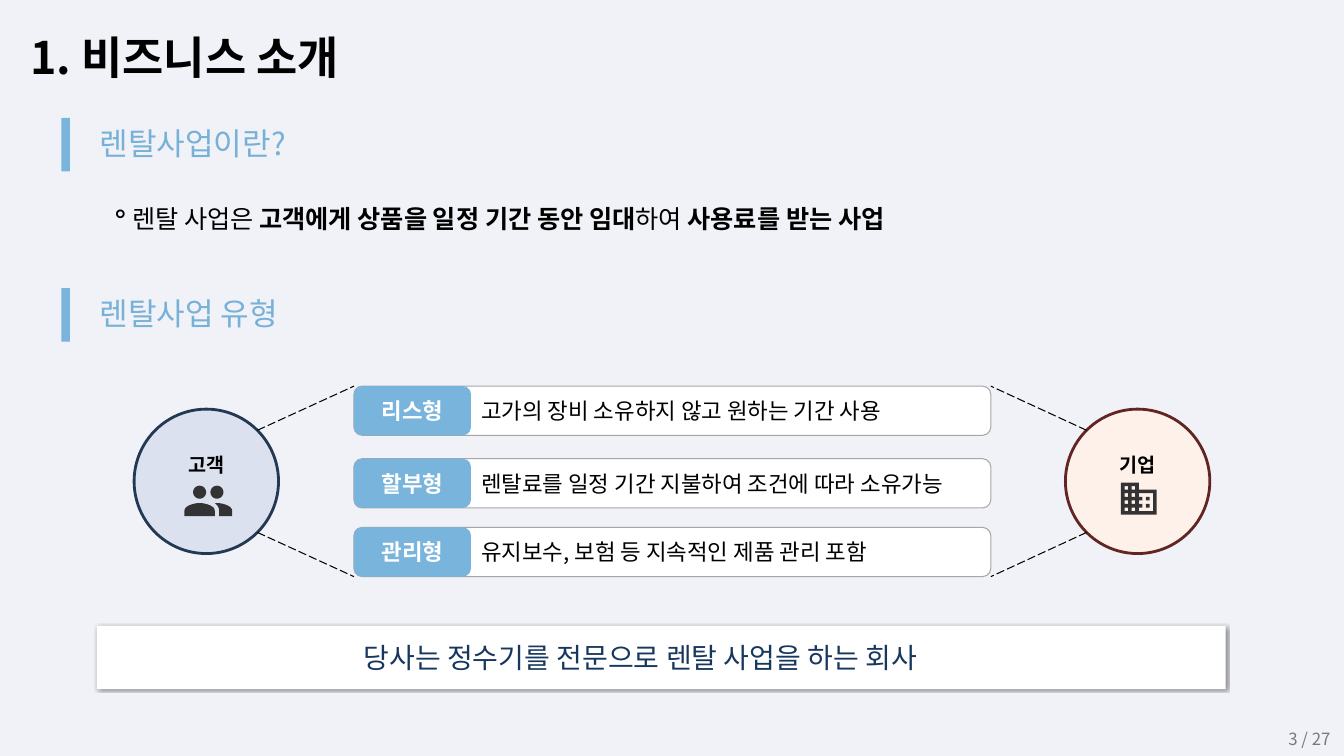
from math import cos, pi, sin, sqrt

from lxml.etree import SubElement
from pptx import Presentation
from pptx.dml.color import RGBColor
from pptx.enum.dml import MSO_LINE
from pptx.enum.shapes import MSO_CONNECTOR, MSO_SHAPE as SHAPE
from pptx.enum.text import MSO_ANCHOR as ANCHOR, MSO_AUTO_SIZE, PP_ALIGN as ALIGN
from pptx.oxml.ns import qn
from pptx.util import Cm, Pt

FONT = "Noto Sans CJK KR"
COLORS = {
    "background": "F0F2F7", "white": "FFFFFF", "black": "000000", "page": "797979",
    "accent": "78B4DC", "heading": "77B1D7", "message": "17375E", "icon": "333333",
    "row line": "A6A6A6", "customer": "DBE1EE", "customer line": "233953",
    "company": "FDF1E9", "company line": "632523",
}
ICON_GRID = 100  # freeform steps per icon unit


def rgb(name):
    return RGBColor.from_string(COLORS[name])


def write(holder, runs, size, color, align=ALIGN.LEFT, anchor=ANCHOR.TOP,
          margins=(0, 0, 0, 0), spacing=None):
    """Write (text, bold) runs as one paragraph; margins are left, top, right, bottom."""
    frame = holder.text_frame
    left, top, right, bottom = (Cm(margin) for margin in margins)
    layout = {"word_wrap": True, "auto_size": MSO_AUTO_SIZE.NONE, "vertical_anchor": anchor,
              "margin_left": left, "margin_top": top,
              "margin_right": right, "margin_bottom": bottom}
    for name, value in layout.items():
        setattr(frame, name, value)
    paragraph = frame.paragraphs[0]
    paragraph.alignment = align
    paragraph.line_spacing = spacing
    for text, bold in runs:
        run = paragraph.add_run()
        run.text = text
        for name, value in {"size": Pt(size), "bold": bold, "name": FONT}.items():
            setattr(run.font, name, value)
        run.font.color.rgb = rgb(color)
        SubElement(run.font._element, qn("a:ea"), typeface=FONT)
    return paragraph


def text_box(slide, box, runs, size, color, **style):
    holder = slide.shapes.add_textbox(*(Cm(length) for length in box))
    return write(holder, runs, size, color, **style)


def panel(slide, kind, box, fill, line=None, weight=0.75):
    shape = slide.shapes.add_shape(kind, *(Cm(length) for length in box))
    shape.shadow.inherit = False
    shape.fill.solid()
    shape.fill.fore_color.rgb = rgb(fill)
    if line:
        shape.line.color.rgb = rgb(line)
        shape.line.width = Pt(weight)
    else:
        shape.line.fill.background()
    return shape


# Icons, drawn on a unit grid
def square(x, y, side=2):
    return [(x, y), (x + side, y), (x + side, y + side), (x, y + side)]


def circle(x, y, radius, steps=32):
    turns = [2 * pi * step / steps for step in range(steps)]
    return [(x + radius * cos(turn), y + radius * sin(turn)) for turn in turns]


def curve(*points, steps=10):
    weights = (1, 3, 3, 1)
    return [tuple(sum(weight * (1 - t) ** (3 - power) * t ** power * point[axis]
                      for power, (weight, point) in enumerate(zip(weights, points)))
                  for axis in (0, 1))
            for t in (step / steps for step in range(steps + 1))]


def people_outlines():
    front = (curve((14, 11.5), (14, 9.17), (9.33, 8), (7, 8))
             + curve((7, 8), (4.67, 8), (0, 9.17), (0, 11.5)) + [(0, 14), (14, 14)])
    back = (curve((22, 11.5), (22, 9.17), (17.33, 8), (15, 8))
            + curve((14.03, 8.05), (15.19, 8.89), (16, 10.02), (16, 11.5))
            + [(16, 14), (22, 14)])
    return [circle(7, 3, 3), circle(15, 3, 3), front, back]


def building_outlines():
    walls = [(10, 4), (10, 0), (0, 0), (0, 18), (20, 18), (20, 4)]
    wing = [(18, 16), (10, 16), (10, 14), (12, 14), (12, 12), (10, 12),
            (10, 10), (12, 10), (12, 8), (10, 8), (10, 6), (18, 6)]
    windows = [square(x, y) for x in (2, 6) for y in (2, 6, 10, 14)]
    return [walls, wing, *windows, square(14, 8), square(14, 12)]


def icon(slide, left, top, unit, outlines):
    builder = None
    for outline in outlines:
        points = [(x * ICON_GRID, y * ICON_GRID) for x, y in outline]
        if builder is None:
            builder = slide.shapes.build_freeform(*points[0], scale=Cm(unit) / ICON_GRID)
        else:
            builder.move_to(*points[0])
        builder.add_line_segments(points[1:], close=True)
    drawing = builder.convert_to_shape(Cm(left), Cm(top))
    drawing.shadow.inherit = False
    drawing.fill.solid()
    drawing.fill.fore_color.rgb = rgb("icon")
    drawing.line.fill.background()


# Regions
def title(slide, box, text):
    heading = slide.shapes.title
    heading.left, heading.top, heading.width, heading.height = (Cm(length) for length in box)
    write(heading, [(text, True)], 32, "black", margins=(0.25, 0.13, 0.25, 0.13), spacing=1.25)


def section(slide, left, top, text):
    panel(slide, SHAPE.RECTANGLE, (left, top, 0.21, 1.35), "accent")
    text_box(slide, (left + 0.96, top + 0.36, 5.74, 0.79), [(text, False)], 22.2, "heading",
             spacing=Pt(20.8))


def definition(slide, box, runs):
    paragraph = text_box(slide, box, runs, 18, "black", spacing=Pt(33.3))
    properties = paragraph._p.get_or_add_pPr()
    properties.set("marL", str(Cm(1.68)))
    properties.set("indent", str(-Cm(0.56)))
    SubElement(properties, qn("a:buChar"), char="⚬")


def party(slide, left, top, size, name, kind):
    panel(slide, SHAPE.OVAL, (left, top, size, size), kind, f"{kind} line", 2)
    text_box(slide, (left, top + 0.97, size, 0.71), [(name, True)], 14, "black",
             align=ALIGN.CENTER, spacing=Pt(20.8))


def rental_type(slide, box, name, description):
    left, top, width, height = box
    label_width = 2.95
    row = panel(slide, SHAPE.ROUNDED_RECTANGLE, box, "white", "row line")
    write(row, [(description, False)], 16, "black", anchor=ANCHOR.MIDDLE,
          margins=(label_width + 0.2, 0, 0, 0))
    label = panel(slide, SHAPE.ROUNDED_RECTANGLE, (left, top, label_width, height), "accent")
    write(label, [(name, True)], 16, "white", align=ALIGN.CENTER, anchor=ANCHOR.MIDDLE)


def dashed_line(slide, *ends):
    line = slide.shapes.add_connector(MSO_CONNECTOR.STRAIGHT, *(Cm(end) for end in ends))
    line.line.color.rgb = rgb("black")
    line.line.width = Pt(0.75)
    line.line.dash_style = MSO_LINE.LONG_DASH
    SubElement(line._element.spPr, qn("a:effectLst"))


def rental_diagram(slide, left, top, width, height):
    # Customer and company at the two ends
    size = 3.64
    circle_top = top + (height - size) / 2
    company_left = left + width - size
    party(slide, left, circle_top, size, "고객", "customer")
    icon(slide, left + 1.27, circle_top + 1.93, 1.2 / 22, people_outlines())
    party(slide, company_left, circle_top, size, "기업", "company")
    icon(slide, company_left + 1.4, circle_top + 1.85, 0.9 / 20, building_outlines())
    # Rental types between them
    row_left, row_width, row_height = left + 5.54, 16.05, 1.24
    rows = [(0, "리스형", "고가의 장비 소유하지 않고 원하는 기간 사용"),
            (1.83, "할부형", "렌탈료를 일정 기간 지불하여 조건에 따라 소유가능"),
            (height - row_height, "관리형", "유지보수, 보험 등 지속적인 제품 관리 포함")]
    for offset, name, description in rows:
        rental_type(slide, (row_left, top + offset, row_width, row_height), name, description)
    # Lines from the circles' diagonals to the corners of the rows
    reach = size / 2 / sqrt(2)
    for center, side, corner in ((left + size / 2, 1, row_left),
                                 (company_left + size / 2, -1, row_left + row_width)):
        for sign in (-1, 1):
            middle = top + height / 2
            dashed_line(slide, center + side * reach, middle + sign * reach,
                        corner, middle + sign * height / 2)


def message(slide, box, text):
    banner = panel(slide, SHAPE.RECTANGLE, box, "white")
    effects = banner._element.spPr.find(qn("a:effectLst"))
    shadow = SubElement(effects, qn("a:outerShdw"), blurRad=str(Pt(2)), dist=str(Pt(1)),
                        dir="2700000", algn="tl", rotWithShape="0")
    tint = SubElement(shadow, qn("a:srgbClr"), val=COLORS["black"])
    SubElement(tint, qn("a:alpha"), val="40000")
    write(banner, [(text, False)], 20, "message", align=ALIGN.CENTER, anchor=ANCHOR.MIDDLE,
          margins=(0, 0, 1.05, 0))


def main():
    deck = Presentation()
    deck.slide_width, deck.slide_height = Cm(33.87), Cm(19.05)
    slide = deck.slides.add_slide(deck.slide_layouts[5])
    slide.background.fill.solid()
    slide.background.fill.fore_color.rgb = rgb("background")

    title(slide, (0.51, 0.28, 9.47, 1.85), "1. 비즈니스 소개")
    section(slide, 1.55, 2.97, "렌탈사업이란?")
    definition(slide, (1.65, 4.7, 22.76, 1.04), [
        ("렌탈 사업은 ", False), ("고객에게 상품을 일정 기간 동안 임대", True),
        ("하여 ", False), ("사용료를 받는 사업", True)])
    section(slide, 1.55, 7.26, "렌탈사업 유형")
    rental_diagram(slide, 3.38, 9.73, 27.11, 4.8)
    message(slide, (2.44, 15.77, 28.45, 1.6), "당사는 정수기를 전문으로 렌탈 사업을 하는 회사")
    text_box(slide, (26.16, 18.01, 7.62, 1.24), [("3 / 27", False)], 12, "page",
             align=ALIGN.RIGHT, anchor=ANCHOR.MIDDLE, margins=(0.25, 0.13, 0.25, 0.13))
    deck.save("out.pptx")


if __name__ == "__main__":
    main()
